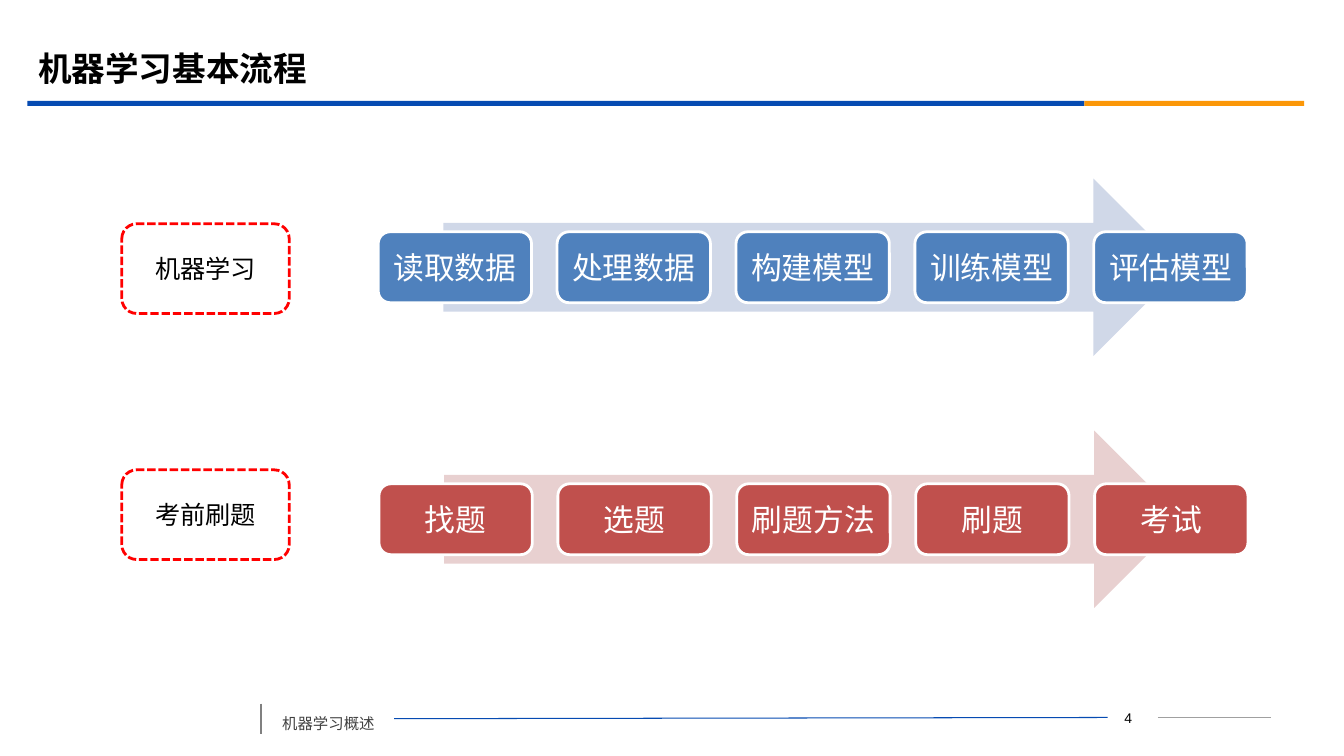
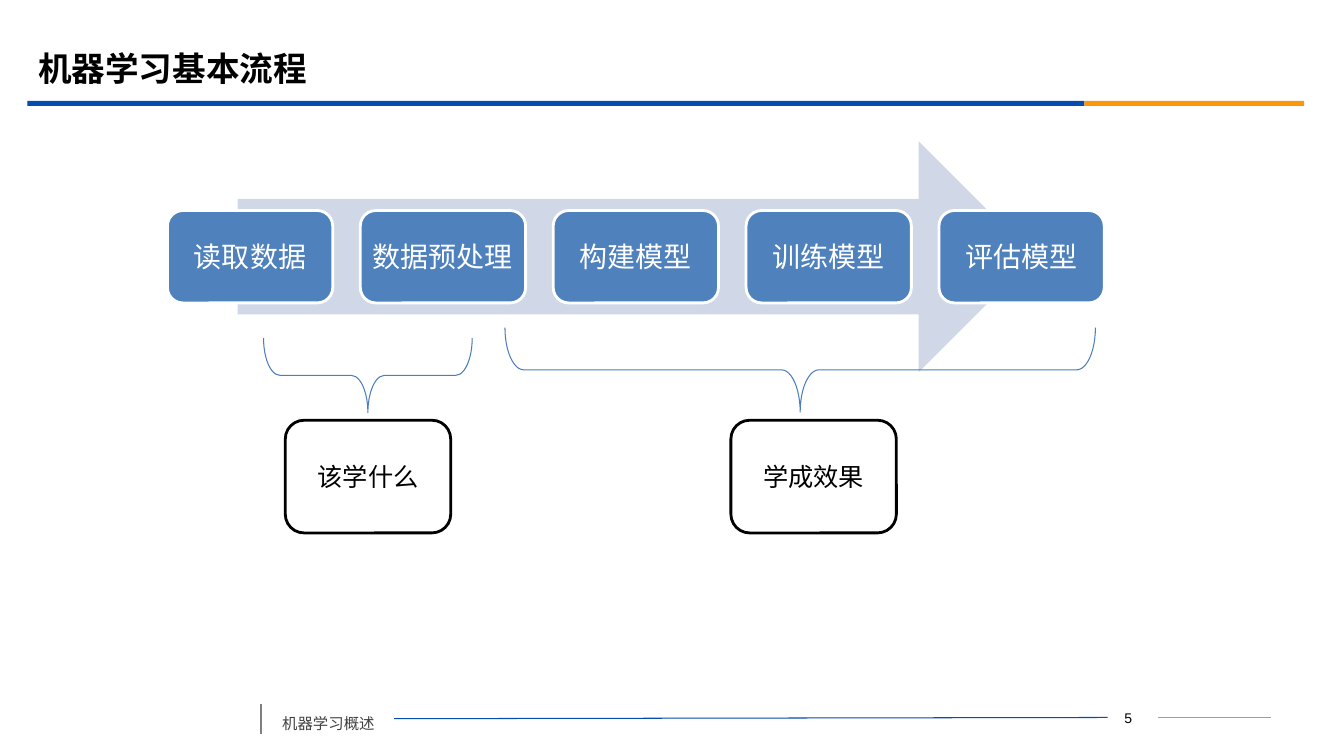
from dataclasses import dataclass

from lxml.etree import SubElement
from pptx import Presentation
from pptx.dml.color import RGBColor
from pptx.enum.dml import MSO_LINE
from pptx.enum.shapes import MSO_CONNECTOR, MSO_SHAPE
from pptx.enum.text import MSO_ANCHOR, PP_ALIGN
from pptx.oxml.ns import qn
from pptx.util import Cm, Pt

BLUE, ORANGE, GRAY = "064BB2", "FB9708", "808080"
BLACK, WHITE, RED = "000000", "FFFFFF", "FF0000"
STEP_BLUE, ARROW_BLUE = "4F81BD", "D0D8E8"
STEP_RED, ARROW_RED = "C0504D", "E8D0D0"
BRACE_BLUE = "4B7EBC"
CHINESE_FONT = "Noto Sans CJK SC"
TITLE = "机器学习基本流程"
FOOTER = "机器学习概述"


@dataclass(frozen=True)
class Area:
    """A rectangle in centimetres."""
    left: float
    top: float
    width: float
    height: float

    def lengths(self) -> tuple:
        return Cm(self.left), Cm(self.top), Cm(self.width), Cm(self.height)


@dataclass(frozen=True)
class Rule:
    """A thin straight line between two points in centimetres."""
    start: tuple
    end: tuple
    color: str
    width: float


@dataclass(frozen=True)
class Flow:
    """A row of equal steps on a broad arrow."""
    area: Area
    steps: tuple
    step_color: str
    arrow_color: str
    size: int
    inset: float


@dataclass(frozen=True)
class Label:
    """A rounded box with a caption."""
    text: str
    area: Area
    line_color: str
    dash: object = None
    fill: str | None = None


BANDS = ((Area(0.69, 2.54, 26.64, 0.13), BLUE),
         (Area(27.33, 2.54, 5.54, 0.13), ORANGE))
RULES = (Rule((29.18, 18.08), (32.03, 18.08), "A0A0A0", 0.75),
         Rule((6.58, 17.73), (6.58, 18.49), GRAY, 1.25),
         Rule((9.93, 18.11), (27.91, 18.08), BLUE, 0.75))


def rgb(color: str) -> RGBColor:
    return RGBColor.from_string(color)


def write(frame, text: str, size: int, color: str, font: str = "Arial",
          bold: bool = False, insets: tuple = (0.25, 0.13), wrap: bool = True,
          anchor=MSO_ANCHOR.MIDDLE, **para_format) -> None:
    """Put one formatted paragraph into a text frame."""
    frame_format = {
        "word_wrap": wrap, "vertical_anchor": anchor,
        "margin_left": Cm(insets[0]), "margin_right": Cm(insets[0]),
        "margin_top": Cm(insets[1]), "margin_bottom": Cm(insets[1]),
    }
    for name, value in frame_format.items():
        setattr(frame, name, value)
    para = frame.paragraphs[0]
    for name, value in ({"alignment": PP_ALIGN.CENTER} | para_format).items():
        setattr(para, name, value)
    span = para.add_run()
    span.text = text
    for name, value in {"name": font, "size": Pt(size), "bold": bold}.items():
        setattr(span.font, name, value)
    span.font.color.rgb = rgb(color)
    # East Asian characters need their own typeface entry
    SubElement(span.font._element, qn("a:ea"), typeface=CHINESE_FONT)


def add_box(page, kind, area: Area, fill: str | None = None,
            line: str | None = None, line_width: float = 2):
    """Draw a preset shape without a shadow."""
    box = page.shapes.add_shape(kind, *area.lengths())
    box.shadow.inherit = False
    if fill:
        box.fill.solid()
        box.fill.fore_color.rgb = rgb(fill)
    else:
        box.fill.background()
    if line:
        box.line.color.rgb = rgb(line)
        box.line.width = Pt(line_width)
    else:
        box.line.fill.background()
    return box


def add_rule(page, rule: Rule) -> None:
    points = [Cm(value) for value in (*rule.start, *rule.end)]
    line = page.shapes.add_connector(MSO_CONNECTOR.STRAIGHT, *points)
    line.line.color.rgb = rgb(rule.color)
    line.line.width = Pt(rule.width)
    SubElement(line._element.spPr, qn("a:effectLst"))


def add_flow(page, flow: Flow) -> None:
    """Draw the arrow over 85% of the row, then steps with gaps of 1/6 step."""
    area = flow.area
    arrow = Area(area.left + 0.075 * area.width, area.top,
                 0.85 * area.width, area.height)
    add_box(page, MSO_SHAPE.RIGHT_ARROW, arrow, flow.arrow_color)
    count = len(flow.steps)
    width = area.width / (count + (count - 1) / 6)
    for index, text in enumerate(flow.steps):
        place = Area(area.left + index * width * 7 / 6,
                     area.top + 0.3 * area.height, width, 0.4 * area.height)
        box = add_box(page, MSO_SHAPE.ROUNDED_RECTANGLE, place,
                      flow.step_color, WHITE)
        write(box.text_frame, text, flow.size, WHITE,
              insets=(flow.inset, flow.inset))


def add_label(page, label: Label) -> None:
    box = add_box(page, MSO_SHAPE.ROUNDED_RECTANGLE, label.area,
                  label.fill, label.line_color)
    if label.dash:
        box.line.dash_style = label.dash
    write(box.text_frame, label.text, 18, BLACK)


def add_brace(page, area: Area) -> None:
    """Draw a brace that opens upwards; the area is given before turning."""
    brace = add_box(page, MSO_SHAPE.RIGHT_BRACE, area, None, BRACE_BLUE, 0.75)
    brace.adjustments[0] = 0.222
    brace.rotation = 90


def add_page(deck, number: int):
    """Add a page with title, bands and footer."""
    page = deck.slides.add_slide(deck.slide_layouts[5])
    title = page.shapes.title
    place = Area(0.71, 0.99, 30.48, 1.47).lengths()
    for name, value in zip(("left", "top", "width", "height"), place):
        setattr(title, name, value)
    write(title.text_frame, TITLE, 24, BLACK, "Montserrat", True,
          alignment=PP_ALIGN.LEFT)
    for area, color in BANDS:
        add_box(page, MSO_SHAPE.RECTANGLE, area, color)
    for rule in RULES:
        add_rule(page, rule)
    footer = page.shapes.add_textbox(*Area(6.86, 17.63, 3.07, 0.97).lengths())
    write(footer.text_frame, FOOTER, 11, "404040", CHINESE_FONT,
          anchor=MSO_ANCHOR.TOP, alignment=PP_ALIGN.LEFT, line_spacing=1.5)
    counter = page.shapes.add_textbox(*Area(27.65, 17.75, 1.57, 0.64).lengths())
    write(counter.text_frame, str(number), 10, BLACK, anchor=MSO_ANCHOR.TOP)
    return page


def main() -> None:
    deck = Presentation()
    deck.slide_width, deck.slide_height = Cm(33.87), Cm(19.05)

    # Learning compared with exam practice
    page = add_page(deck, 4)
    add_flow(page, Flow(Area(9.53, 4.5, 21.9, 4.47),
                        ("读取数据", "处理数据", "构建模型", "训练模型", "评估模型"),
                        STEP_BLUE, ARROW_BLUE, 22, 0.23))
    add_flow(page, Flow(Area(9.55, 10.85, 21.9, 4.47),
                        ("找题", "选题", "刷题方法", "刷题", "考试"),
                        STEP_RED, ARROW_RED, 22, 0.23))
    for text, top in (("机器学习", 5.64), ("考前刷题", 11.84)):
        add_label(page, Label(text, Area(3.07, top, 4.22, 2.26), RED,
                              MSO_LINE.SQUARE_DOT))

    # What the steps decide
    page = add_page(deck, 5)
    add_flow(page, Flow(Area(4.22, 3.56, 23.61, 5.82),
                        ("读取数据", "数据预处理", "构建模型", "训练模型", "评估模型"),
                        STEP_BLUE, ARROW_BLUE, 20, 0.2))
    for text, left, brace in (
            ("该学什么", 7.19, Area(8.33, 6.83, 1.88, 5.26)),
            ("学成效果", 18.42, Area(19.1, 1.88, 2.13, 14.88))):
        add_brace(page, brace)
        add_label(page, Label(text, Area(left, 10.59, 4.17, 2.84), BLACK,
                              fill=WHITE))

    deck.save("out.pptx")


if __name__ == "__main__":
    main()
